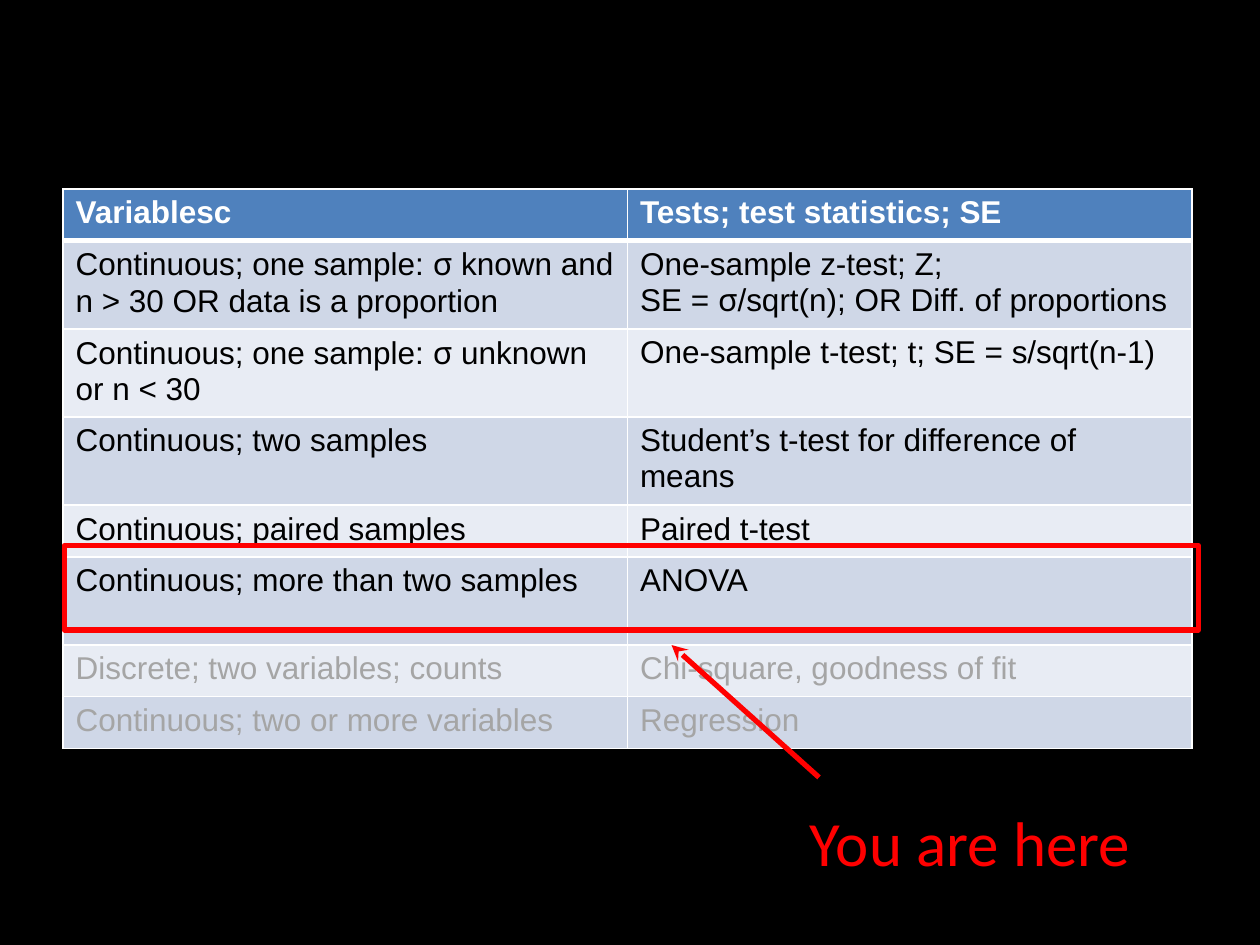
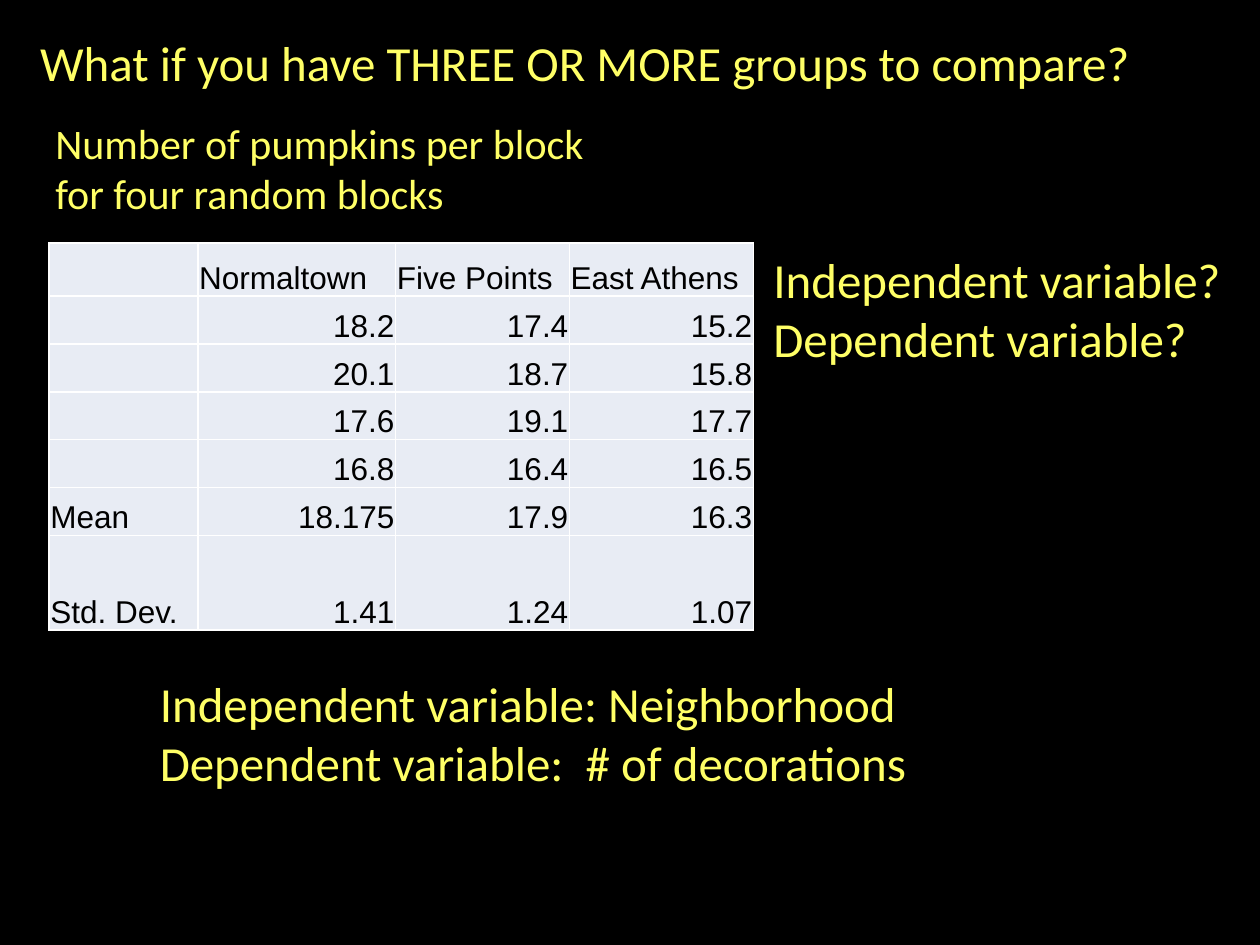
from dataclasses import dataclass

from lxml.etree import SubElement
from pptx import Presentation
from pptx.dml.color import RGBColor
from pptx.enum.shapes import MSO_CONNECTOR, MSO_SHAPE
from pptx.enum.text import MSO_ANCHOR, PP_ALIGN
from pptx.oxml import parse_xml
from pptx.oxml.ns import nsdecls, qn
from pptx.util import Inches, Pt


@dataclass(frozen=True)
class Theme:
    background: str = "000000"
    yellow: str = "FFFF66"
    red: str = "FF0000"
    white: str = "FFFFFF"
    black: str = "000000"
    muted: str = "A5A5A5"
    header: str = "4F81BD"
    band_dark: str = "CFD7E7"
    band_light: str = "E8ECF4"
    text_font: str = "Calibri"
    table_font: str = "Arial"
    greek_font: str = "Karla"
    callout_size: int = 36
    title_size: int = 28
    caption_size: int = 24
    table_size: int = 18
    rule: int = 1
    heavy_rule: int = 3


THEME = Theme()
SIGMA = "σ"

TESTS = [
    ("Variablesc", "Tests; test statistics; SE"),
    ("Continuous; one sample: σ known and n > 30 OR data is a proportion",
     "One-sample z-test; Z;\nSE = σ/sqrt(n); OR Diff. of proportions"),
    ("Continuous; one sample: σ unknown or n < 30",
     "One-sample t-test; t; SE = s/sqrt(n-1)"),
    ("Continuous; two samples", "Student’s t-test for difference of means"),
    ("Continuous; paired samples", "Paired t-test"),
    ("Continuous; more than two samples", "ANOVA"),
    ("Discrete; two variables; counts", "Chi-square, goodness of fit"),
    ("Continuous; two or more variables", "Regression"),
]
FIRST_MUTED_ROW = 6

PUMPKINS = [
    ("", "Normaltown", "Five Points", "East Athens"),
    ("", "18.2", "17.4", "15.2"),
    ("", "20.1", "18.7", "15.8"),
    ("", "17.6", "19.1", "17.7"),
    ("", "16.8", "16.4", "16.5"),
    ("Mean", "18.175", "17.9", "16.3"),
    ("Std. Dev.", "1.41", "1.24", "1.07"),
]


def rgb(color):
    return RGBColor.from_string(color)


def style_font(font, name, size, color, bold=False):
    font.name = name
    font.size = Pt(size)
    font.bold = bold
    font.color.rgb = rgb(color)


def add_slide(prs):
    s = prs.slides.add_slide(prs.slide_layouts[6])
    s.background.fill.solid()
    s.background.fill.fore_color.rgb = rgb(THEME.background)
    return s


def add_text(s, box, text, size, color=THEME.yellow):
    sp = s.shapes.add_textbox(*map(Inches, box))
    tf = sp.text_frame
    tf.word_wrap = True
    tf.text = text
    for p in tf.paragraphs:
        for r in p.runs:
            style_font(r.font, THEME.text_font, size, color)


# Tables
def set_borders(cell, widths):
    """Draw white borders; widths holds points for left, right, top, bottom."""
    tcPr = cell._tc.get_or_add_tcPr()
    for i, (side, width) in enumerate(zip("LRTB", widths)):
        tcPr.insert(i, parse_xml(
            f'<a:ln{side} {nsdecls("a")} w="{Pt(width)}"><a:solidFill>'
            f'<a:srgbClr val="{THEME.white}"/></a:solidFill></a:ln{side}>'))


def fill_cell(cell, text, fill, color=THEME.black, bold=False):
    cell.fill.solid()
    cell.fill.fore_color.rgb = rgb(fill)
    tf = cell.text_frame
    tf.text = text
    for p in tf.paragraphs:
        before, sigma, after = p.text.partition(SIGMA)
        p.text = before
        for part in filter(None, (sigma, after)):
            p.add_run().text = part
        p.font.size = Pt(THEME.table_size)
        for r in p.runs:
            name = THEME.greek_font if r.text == SIGMA else THEME.table_font
            style_font(r.font, name, THEME.table_size, color, bold)


def add_grid(s, left, top, widths, heights):
    frame = s.shapes.add_table(
        len(heights), len(widths), Inches(left), Inches(top),
        Inches(sum(widths)), Inches(sum(heights)))
    table = frame.table
    table.horz_banding = False
    for column, width in zip(table.columns, widths):
        column.width = Inches(width)
    for row, height in zip(table.rows, heights):
        row.height = Inches(height)
    return table


def add_tests_table(s):
    short, tall = 0.41, 0.7
    heights = [short, tall, tall, tall, short, tall, short, short]
    table = add_grid(s, 0.5, 1.5, [4.48] * 2, heights)
    for i, row in enumerate(TESTS):
        fill = THEME.band_dark if i % 2 else THEME.band_light
        color = THEME.muted if i >= FIRST_MUTED_ROW else THEME.black
        if i == 0:
            fill, color = THEME.header, THEME.white
        above = THEME.heavy_rule if i == 1 else THEME.rule
        below = THEME.heavy_rule if i == 0 else THEME.rule
        for j, text in enumerate(row):
            cell = table.cell(i, j)
            fill_cell(cell, text, fill, color, bold=i == 0)
            set_borders(cell, (THEME.rule, THEME.rule, above, below))


def add_pumpkin_table(s):
    heights = [0.42] + [0.38] * 5 + [0.75]
    table = add_grid(s, 0.39, 1.93, [1.18, 1.57, 1.38, 1.46], heights)
    table.first_row = False
    for i, row in enumerate(PUMPKINS):
        for j, text in enumerate(row):
            cell = table.cell(i, j)
            fill_cell(cell, text, THEME.band_light)
            set_borders(cell, [THEME.rule] * 4)
            cell.vertical_anchor = MSO_ANCHOR.BOTTOM
            cell.margin_left = cell.margin_right = Inches(0.01)
            cell.margin_top, cell.margin_bottom = Inches(0.01), 0
            if i and j:
                cell.text_frame.paragraphs[0].alignment = PP_ALIGN.RIGHT


# Highlight marks
def style_line(line):
    line.color.rgb = rgb(THEME.red)
    line.width = Pt(THEME.heavy_rule)


def add_highlight(s, box):
    sp = s.shapes.add_shape(MSO_SHAPE.RECTANGLE, *map(Inches, box))
    sp.shadow.inherit = False
    sp.fill.background()
    style_line(sp.line)


def add_arrow(s, start, end):
    sp = s.shapes.add_connector(
        MSO_CONNECTOR.STRAIGHT, *map(Inches, start + end))
    style_line(sp.line)
    SubElement(sp.line._get_or_add_ln(), qn("a:tailEnd"), type="stealth")
    SubElement(sp._element.spPr, qn("a:effectLst"))


# Slides
def build_test_overview(prs):
    s = add_slide(prs)
    add_tests_table(s)
    add_highlight(s, (0.51, 4.33, 9, 0.67))
    add_arrow(s, (6.5, 6.17), (5.33, 5.12))
    add_text(s, (6.33, 6.33, 2.82, 0.71), "You are here",
             THEME.callout_size, THEME.red)


def build_group_comparison(prs):
    s = add_slide(prs)
    add_text(s, (0.22, 0.21, 9.62, 0.57),
             "What if you have THREE OR MORE groups to compare?",
             THEME.title_size)
    add_pumpkin_table(s)
    add_text(s, (0.34, 0.88, 4.75, 0.91),
             "Number of pumpkins per block for four random blocks",
             THEME.caption_size)
    add_text(s, (1.17, 5.3, 7.96, 1.04),
             "Independent variable: Neighborhood\n"
             "Dependent variable:  # of decorations", THEME.title_size)
    add_text(s, (6.04, 1.93, 3.9, 1.04),
             "Independent variable?\nDependent variable?", THEME.title_size)


def main():
    prs = Presentation()
    prs.slide_width, prs.slide_height = Inches(10), Inches(7.5)
    build_test_overview(prs)
    build_group_comparison(prs)
    prs.save("out.pptx")


main()
